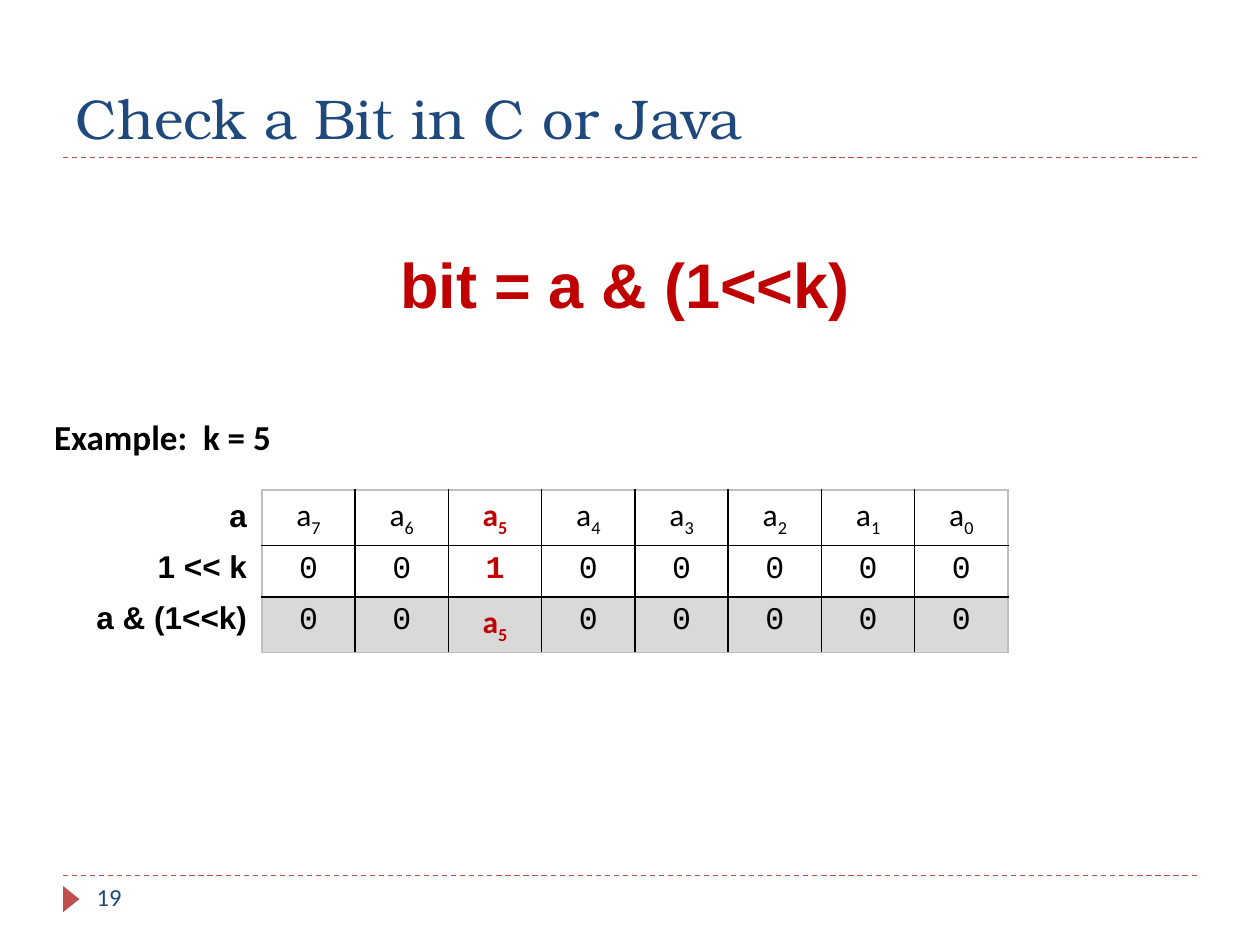
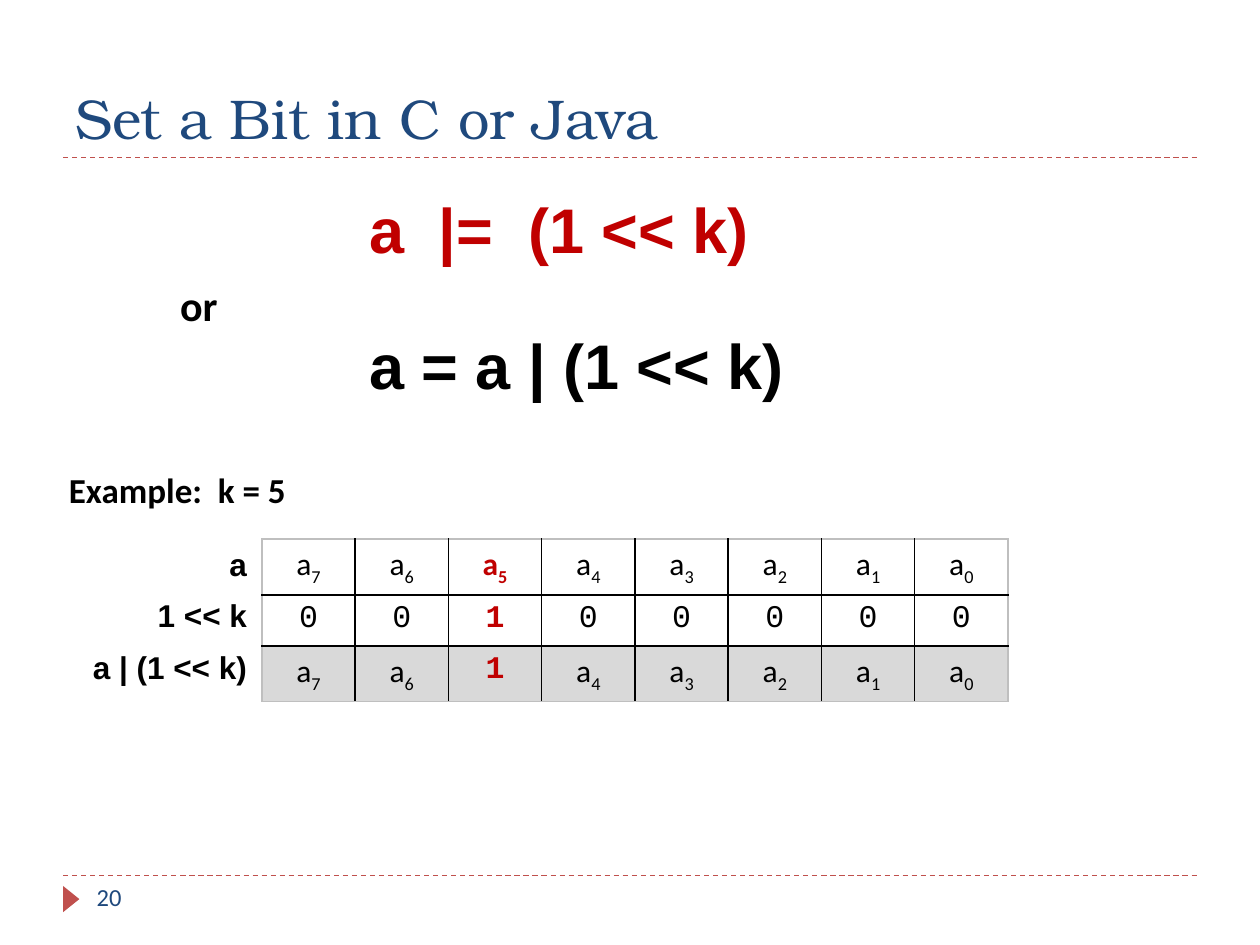
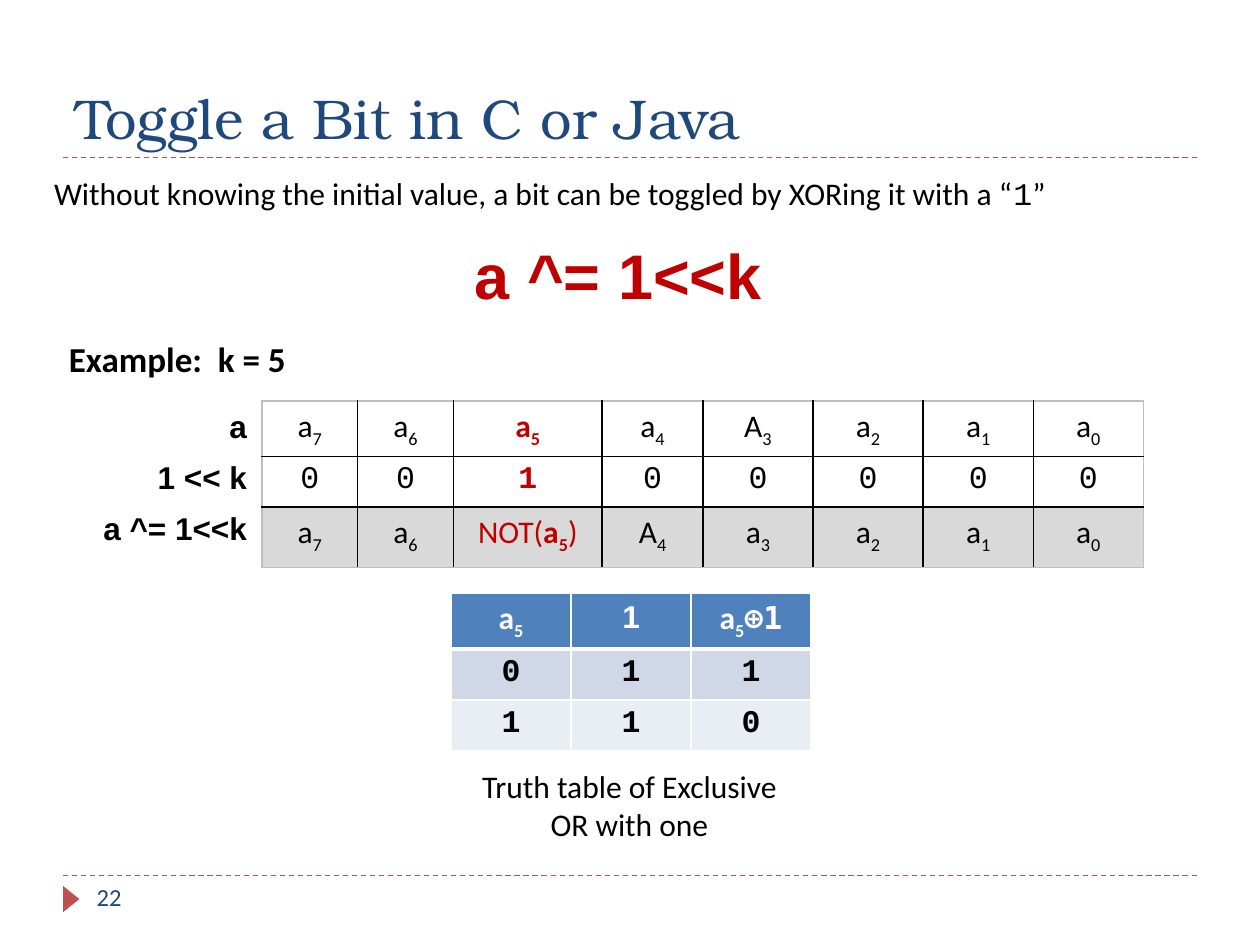
from lxml.etree import SubElement as Sub
from pptx import Presentation
from pptx.dml.color import RGBColor as Rgb
from pptx.enum.dml import MSO_LINE as Dash
from pptx.enum.shapes import MSO_CONNECTOR as Link, MSO_SHAPE as Form
from pptx.enum.text import MSO_ANCHOR as Anchor, MSO_AUTO_SIZE as Fit, PP_ALIGN as Align
from pptx.oxml.ns import qn
from pptx.util import Cm, Pt

# Colours
NAVY = Rgb(0x1F, 0x49, 0x7D)
BRICK = Rgb(0xC0, 0x50, 0x4D)
RED = Rgb(0xC0, 0x00, 0x00)
BLACK = Rgb(0x00, 0x00, 0x00)
WHITE = Rgb(0xFF, 0xFF, 0xFF)
EDGE = Rgb(0xBF, 0xBF, 0xBF)
GREY = Rgb(0xD9, 0xD9, 0xD9)
BLUE = Rgb(0x4F, 0x81, 0xBD)
BANDS = [Rgb(0xD0, 0xD8, 0xE8), Rgb(0xE9, 0xED, 0xF4)]

# Fonts
SERIF, SANS, BODY = "TeX Gyre Bonum", "Arial", "Calibri"
CODE, MONO = "Courier New", "DejaVu Sans Mono"

# Bit table, in cm
LEFT, STEP = 5.28, 1.03
MARK = 2  # column of bit 5
EVEN = [1.88] * 8
WIDE = [1.93, 1.93, 3, 2.03] + [2.22] * 4
BITS = [f"a{n}" for n in range(7, -1, -1)]
MASK = list("00100000")


def write(frame, text, size=18, font=BODY, color=BLACK, bold=False, align=Align.LEFT):
    """Fill a frame with a string, or a list of strings and (string, changes) pairs."""
    par = frame.paragraphs[0]
    par.alignment = align
    for part in [text] if isinstance(text, str) else text:
        words, diff = (part, {}) if isinstance(part, str) else part
        run = par.add_run()
        run.text = words
        run.font.size = Pt(size)
        run.font.name = diff.get("font", font)
        run.font.bold = diff.get("bold", bold)
        run.font.color.rgb = color
        if diff.get("sub"):
            run._r.get_or_add_rPr().set("baseline", "-25000")


def label(slide, text, x, y, w, h, wrap=False, **form):
    frame = slide.shapes.add_textbox(Cm(x), Cm(y), Cm(w), Cm(h)).text_frame
    frame.word_wrap = wrap
    frame.auto_size = Fit.SHAPE_TO_FIT_TEXT
    write(frame, text, **form)


def bit(name):
    """Split a name such as a7 into a letter and a subscript."""
    return [name[0], (name[1:], {"sub": True})]


# Frame of every slide
def rule(slide, y):
    line = slide.shapes.add_connector(Link.STRAIGHT, Cm(1.27), Cm(y), Cm(24.13), Cm(y))
    line.line.color.rgb = BRICK
    line.line.width = Pt(0.75)
    line.line.dash_style = Dash.DASH
    Sub(line._element.spPr, qn("a:effectLst"))


def start(deck, title, page):
    slide = deck.slides.add_slide(deck.slide_layouts[5])
    head = slide.shapes.title
    head.left, head.top, head.width, head.height = Cm(1.27), Cm(0.43), Cm(22.86), Cm(2.74)
    head.text_frame.auto_size = Fit.NONE
    head.text_frame.vertical_anchor = Anchor.BOTTOM
    write(head.text_frame, title, size=32, font=SERIF, color=NAVY)
    for y in (3.18, 17.65):
        rule(slide, y)
    arrow = slide.shapes.add_shape(Form.ISOSCELES_TRIANGLE, Cm(1.17), Cm(17.96), Cm(0.53), Cm(0.33))
    arrow.rotation = 90
    arrow.shadow.inherit = False
    arrow.fill.solid()
    arrow.fill.fore_color.rgb = BRICK
    arrow.line.fill.background()
    label(slide, str(page), 1.7, 17.65, 5.51, 1.02, wrap=True, size=14, color=NAVY)
    return slide


# Tables
def border(cell, **sides):
    """Draw the sides, each a (colour, points) pair, in the order L, R, T, B."""
    props = cell._tc.get_or_add_tcPr()
    for side, (color, width) in sides.items():
        line = Sub(props, qn(f"a:ln{side}"), w=str(Pt(width)))
        Sub(Sub(line, qn("a:solidFill")), qn("a:srgbClr"), val=str(color))


def grid(slide, x, y, cols, rows):
    shape = slide.shapes.add_table(len(rows), len(cols), Cm(x), Cm(y), Cm(sum(cols)), Cm(sum(rows)))
    table = shape.table
    table.first_row = table.horz_banding = False
    for col, width in zip(table.columns, cols):
        col.width = Cm(width)
    for row, height in zip(table.rows, rows):
        row.height = Cm(height)
    return table


def paint(cell, color):
    if color is None:
        cell.fill.background()
    else:
        cell.fill.solid()
        cell.fill.fore_color.rgb = color


def table_bits(slide, y, first, last, name, cols=EVEN, rows=(STEP,) * 3):
    """Bits, mask and result, with a name to the left of each row."""
    table = grid(slide, LEFT, y, cols, rows)
    end = len(cols) - 1
    inner, outer = (BLACK, 1), (EDGE, 1)
    for r, items in enumerate((first, MASK, last)):
        for c, item in enumerate(items):
            cell = table.cell(r, c)
            border(cell, L=inner if c else outer, R=inner if c < end else outer,
                   T=inner if r else outer, B=inner if r < 2 else outer)
            paint(cell, GREY if r == 2 else None)
            plain = item in ("0", "1")
            text = bit(item) if isinstance(item, str) and not plain else item
            write(cell.text_frame, text, font=CODE if plain else BODY, bold=c == MARK,
                  color=RED if c == MARK else BLACK, align=Align.CENTER)
    for r, text in enumerate(("a", "1 << k", name)):
        label(slide, text, LEFT - 4.05, y + r * STEP, 4, 1.02, font=SANS, bold=True,
              align=Align.RIGHT)


def table_truth(slide, x, y):
    table = grid(slide, x, y, [2.42] * 3, [STEP] * 3)
    heads = [bit("a5"), [("1", {"font": SANS})], bit("a5") + [("⊕1", {"font": MONO})]]
    thin, thick = (WHITE, 1), (WHITE, 3)
    for r, items in enumerate((heads, "011", "110")):
        for c, item in enumerate(items):
            cell = table.cell(r, c)
            border(cell, L=thin, R=thin, T=thick if r == 1 else thin, B=thin if r else thick)
            paint(cell, BANDS[r - 1] if r else BLUE)
            write(cell.text_frame, item, font=CODE if r else BODY, bold=True,
                  color=BLACK if r else WHITE, align=Align.CENTER)
    label(slide, "Truth table of Exclusive OR with one", x, y + 3.38, 7.2, 1.8, wrap=True,
          align=Align.CENTER)


def code(slide, text, x, y, w, color=RED):
    label(slide, text, x, y, w, 1.8, size=36, font=SANS, color=color, bold=True)


def example(slide, x, y):
    label(slide, "Example:  k = 5", x, y, 5.51, 1.12, size=20, bold=True)


# Slides
def check(deck):
    slide = start(deck, "Check a Bit in C or Java", 19)
    code(slide, "bit = a & (1<<k)", 7.82, 4.83, 9.68)
    example(slide, 0.84, 8.26)
    last = ["0"] * 8
    last[MARK] = "a5"
    table_bits(slide, 9.88, BITS, last, "a & (1<<k)")


def turn_on(deck):
    slide = start(deck, "Set a Bit in C or Java", 20)
    code(slide, "a  |=  (1 << k)", 7.19, 3.71, 8.33)
    code(slide, "a = a | (1 << k)", 7.19, 6.45, 8.97, color=BLACK)
    label(slide, "or", 3.38, 5.51, 1.4, 1.27, size=24, bold=True)
    example(slide, 1.14, 9.32)
    last = list(BITS)
    last[MARK] = "1"
    table_bits(slide, 10.87, BITS, last, "a | (1 << k)")


def toggle(deck):
    slide = start(deck, "Toggle a Bit in C or Java", 22)
    label(slide, ["Without knowing the initial value, a bit can be toggled by XORing it with a “",
                  ("1", {"font": CODE}), "”"], 0.84, 3.38, 20.68, 1.02)
    code(slide, "a ^= 1<<k", 9.32, 4.65, 6.35)
    example(slide, 1.14, 6.68)
    first, last = list(BITS), list(BITS)
    first[4], last[3] = "A3", "A4"
    light = {"bold": False}
    last[MARK] = [("NOT(", light), *bit("a5"), (")", light)]
    table_bits(slide, 8.08, first, last, "a ^= 1<<k", cols=WIDE, rows=(0.91, 0.91, 1.22))
    table_truth(slide, 9.09, 11.96)


def main():
    deck = Presentation()
    deck.slide_width, deck.slide_height = Cm(25.4), Cm(19.05)
    for build in (check, turn_on, toggle):
        build(deck)
    deck.save("out.pptx")


if __name__ == "__main__":
    main()
